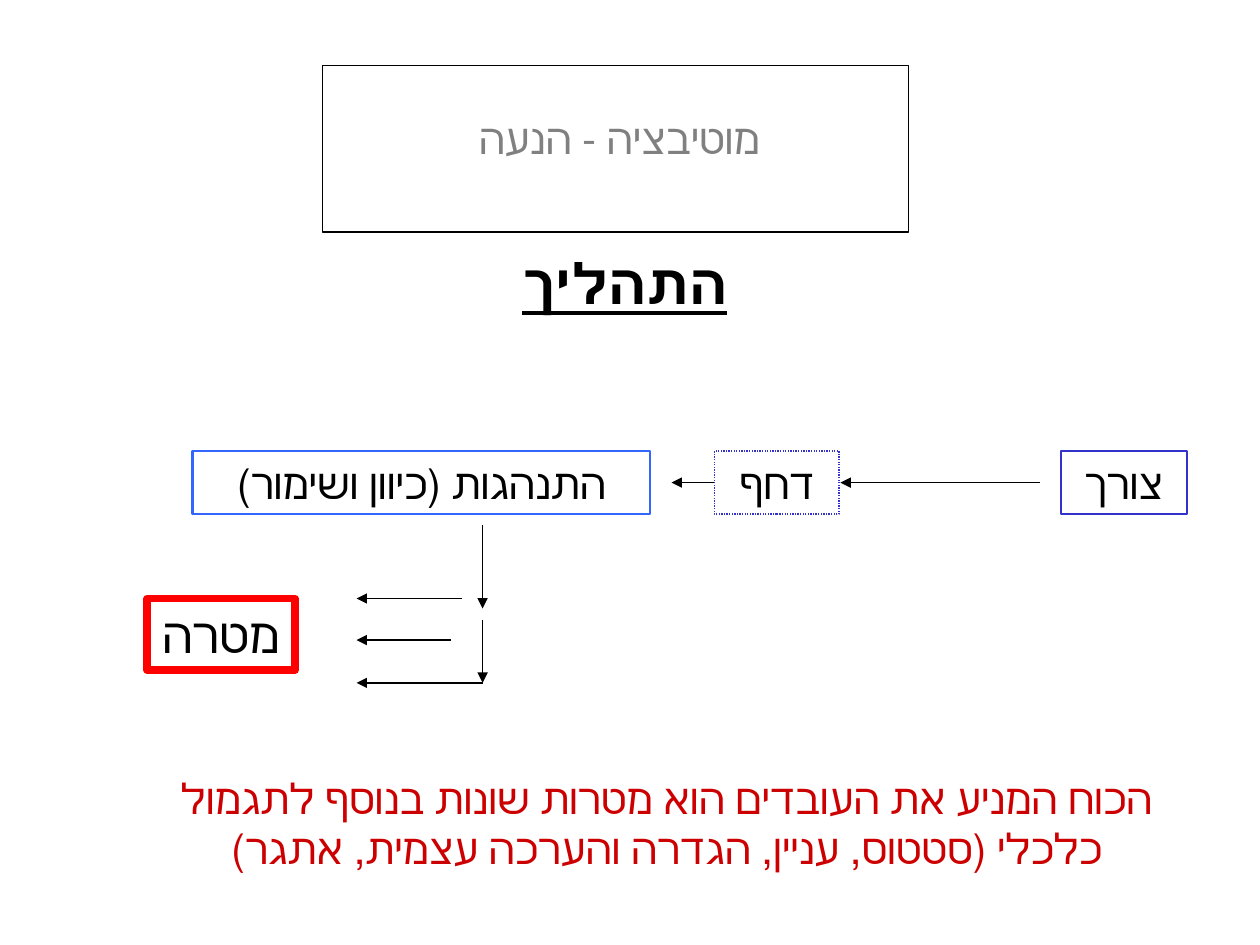
from pptx import Presentation
from pptx.dml.color import RGBColor
from pptx.enum.dml import MSO_LINE
from pptx.enum.shapes import MSO_CONNECTOR, MSO_SHAPE
from pptx.enum.text import MSO_ANCHOR, MSO_AUTO_SIZE, PP_ALIGN
from pptx.oxml.ns import qn
from pptx.util import Inches, Pt
from lxml.etree import SubElement

COLORS = {
    "black": "000000",
    "grey": "808080",
    "navy": "3333CC",
    "blue": "3366FF",
    "red": "FF0000",
    "dark red": "CC0000",
}


class SlideBuilder:
    """Holds the style and the current slide."""

    font_name = "Times New Roman"

    def __init__(self, slide):
        self.slide = slide

    def color(self, name):
        return RGBColor.from_string(COLORS[name])

    def set_text(self, shape, text, size=24, color="black", font_name=None,
                 bold=False, underline=False):
        frame = shape.text_frame
        frame.word_wrap = True
        frame.auto_size = MSO_AUTO_SIZE.NONE
        frame.vertical_anchor = MSO_ANCHOR.TOP
        frame.text = text
        paragraph = frame.paragraphs[0]
        paragraph.alignment = PP_ALIGN.CENTER
        paragraph.space_before = Pt(0)
        properties = paragraph._p.get_or_add_pPr()
        properties.set("rtl", "1")
        if shape.is_placeholder:
            properties.set("marL", "0")
            properties.set("indent", "0")
            SubElement(properties, qn("a:buNone"))
        font = paragraph.font
        font.name = font_name or self.font_name
        font.size = Pt(size)
        font.bold = bold
        font.underline = underline
        font.color.rgb = self.color(color)

    def placeholder(self, index, text, left, top, width, height, **style):
        shape = self.slide.placeholders[index]
        shape.left, shape.top = Inches(left), Inches(top)
        shape.width, shape.height = Inches(width), Inches(height)
        self.set_text(shape, text, **style)

    def text(self, text, left, top, width, height, **style):
        shape = self.slide.shapes.add_textbox(
            Inches(left), Inches(top), Inches(width), Inches(height))
        self.set_text(shape, text, **style)

    def box(self, left, top, width, height, line, line_width, text=None,
            dash=None, **style):
        shape = self.slide.shapes.add_shape(
            MSO_SHAPE.RECTANGLE,
            Inches(left), Inches(top), Inches(width), Inches(height))
        shape.shadow.inherit = False
        shape.fill.background()
        shape.line.color.rgb = self.color(line)
        shape.line.width = Pt(line_width)
        if dash:
            shape.line.dash_style = dash
        if text:
            self.set_text(shape, text, **style)

    def arrow(self, x1, y1, x2, y2):
        connector = self.slide.shapes.add_connector(
            MSO_CONNECTOR.STRAIGHT,
            Inches(x1), Inches(y1), Inches(x2), Inches(y2))
        connector.line.color.rgb = self.color("black")
        connector.line.width = Pt(0.75)
        SubElement(connector.line._get_or_add_ln(), qn("a:tailEnd"),
                   type="triangle")
        SubElement(connector._element.spPr, qn("a:effectLst"))


def main():
    presentation = Presentation()
    presentation.slide_width = Inches(10)
    presentation.slide_height = Inches(7.5)
    slide = presentation.slides.add_slide(presentation.slide_layouts[1])
    builder = SlideBuilder(slide)

    # Framed title and subtitle
    builder.box(2.56, 0.52, 4.65, 1.32, "black", 1)
    builder.placeholder(0, "מוטיבציה - הנעה", 3.5, 0.84, 2.83, 0.71,
                        color="grey", font_name="Montserrat")
    builder.placeholder(1, "התהליך", 3.25, 1.92, 3.42, 0.75,
                        size=32, bold=True, underline=True)

    # Process steps, from right to left
    row_top, row_height = 3.58, 0.5
    steps = [
        ("צורך", 8.42, 1, "navy", 1.5, None),
        ("דחף", 5.67, 0.99, "navy", 0.75, MSO_LINE.ROUND_DOT),
        ("התנהגות (כיוון ושימור)", 1.53, 3.63, "blue", 1.5, None),
    ]
    for text, left, width, line, line_width, dash in steps:
        builder.box(left, row_top, width, row_height, line, line_width,
                    text, dash)
    row_middle = row_top + row_height / 2
    for start, end in [(8.25, 6.67), (5.67, 5.33)]:
        builder.arrow(start, row_middle, end, row_middle)

    # Branches from behaviour to the goal
    for start, end in [(4.17, 4.83), (4.92, 5.42)]:
        builder.arrow(3.83, start, 3.83, end)
    for start, y in [(3.67, 4.75), (3.58, 5.08), (3.83, 5.42)]:
        builder.arrow(start, y, 2.83, y)
    builder.box(1.17, 4.75, 1.17, 0.57, "red", 4.5, "מטרה", size=28)

    # Conclusion
    builder.text("הכוח המניע את העובדים הוא מטרות שונות בנוסף לתגמול כלכלי "
                 "(סטטוס, עניין, הגדרה והערכה עצמית, אתגר)",
                 1.25, 6.08, 8.08, 0.9, color="dark red")

    presentation.save("out.pptx")


if __name__ == "__main__":
    main()
